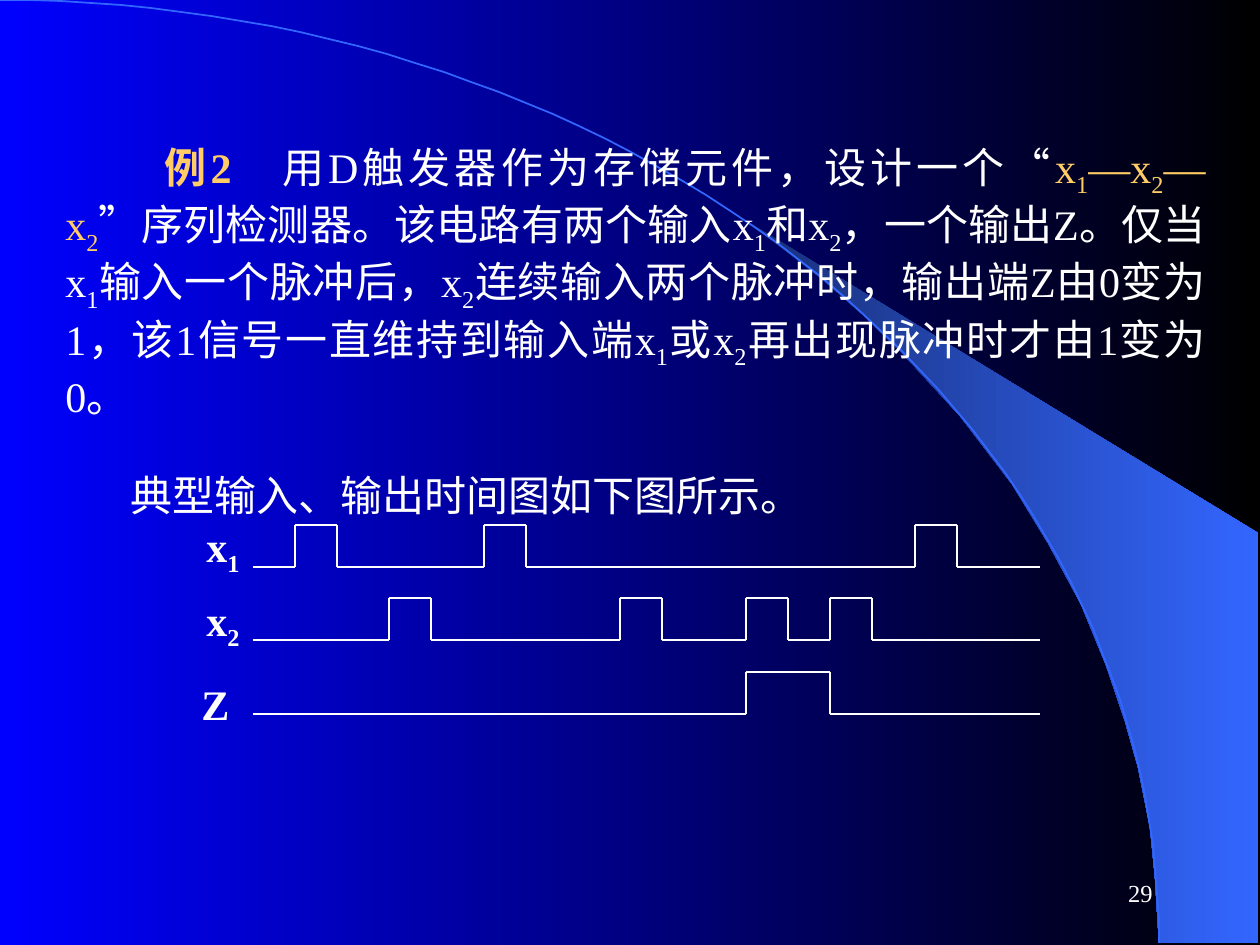
"""Build the sequence detector example slide with its timing diagram."""
import math

import lxml.etree
import pptx
import pptx.dml.color
import pptx.enum.shapes
import pptx.enum.text
import pptx.oxml.ns
import pptx.util

PX = 914400 // 126
WIDTH, HEIGHT = 1260, 945
FONT = "Times New Roman"
WHITE, GOLD, BLUE, NAVY, BLACK = "FFFFFF", "FFCC66", "3366FF", "182F76", "000000"
ALIGN = pptx.enum.text.PP_ALIGN
ANCHOR = pptx.enum.text.MSO_ANCHOR

# An underscore lowers the character after it.
PROBLEM = [
    ("例2　", GOLD, True),
    ("用D触发器作为存储元件，设计一个“", WHITE, False),
    ("x_1—x_2—x_2", GOLD, False),
    ("”序列检测器。该电路有两个输入x_1和x_2，一个输出Z。"
     "仅当x_1输入一个脉冲后，x_2连续输入两个脉冲时，输出端Z由0变为1，"
     "该1信号一直维持到输入端x_1或x_2再出现脉冲时才由1变为0。", WHITE, False),
]
CAPTION = [("典型输入、输出时间图如下图所示。", WHITE, False)]
PROBLEM_INDENT, CAPTION_INDENT, CAPTION_GAP = 99, 65, 27.6
PAGE_NUMBER = [("29", WHITE, False)]

SIGNALS = [
    {"label": "x_1", "box": (194, 514, 58, 70), "low": 567,
     "pulses": [(295, 337), (484, 526), (915, 957)]},
    {"label": "x_2", "box": (194, 588, 58, 70), "low": 640,
     "pulses": [(389, 431), (620, 662), (746, 788), (830, 872)]},
    {"label": "Z", "box": (189, 672, 53, 63), "low": 714,
     "pulses": [(746, 830)]},
]
SIGNAL_START, SIGNAL_END, PULSE_HEIGHT = 253, 1040, 42

BEAM = [(1159, 943), (1258, 943), (1258, 533), (742, 218), (786, 251), (823, 280),
        (863, 315), (902, 353), (960, 416), (1012, 484), (1048, 543), (1081, 604),
        (1106, 665), (1125, 721), (1138, 767), (1150, 827), (1155, 877)]
ARC_WIDTH, ARC_HEIGHT, ARC_STEPS = 1159, 943, 60


def color(value):
    return pptx.dml.color.RGBColor.from_string(value)


def fill_gradient(fill, start, end):
    fill.gradient()
    fill.gradient_angle = 0
    for stop, value in zip(fill.gradient_stops, (start, end)):
        stop.color.rgb = color(value)


def add_outline(slide, points, close):
    builder = slide.shapes.build_freeform(*points[0], scale=PX)
    builder.add_line_segments(points[1:], close=close)
    outline = builder.convert_to_shape()
    outline.shadow.inherit = False
    return outline


def add_box(slide, box, wrap=True, anchor=ANCHOR.TOP):
    frame = slide.shapes.add_textbox(*(v * PX for v in box)).text_frame
    frame.word_wrap = wrap
    frame.vertical_anchor = anchor
    return frame


def write(paragraph, phrases, align=ALIGN.LEFT, size=24, indent=0):
    paragraph.alignment = align
    if indent:
        paragraph._p.get_or_add_pPr().set("indent", str(indent * PX))
    paragraph.font.name = FONT
    paragraph.font.size = pptx.util.Pt(size)
    for phrase, value, bold in phrases:
        first, *rest = phrase.split("_")
        pieces = [(first, False)]
        for part in rest:
            pieces += [(part[0], True), (part[1:], False)]
        for text, lowered in pieces:
            if not text:
                continue
            run = paragraph.add_run()
            run.text = text
            run.font.name = FONT
            run.font.size = pptx.util.Pt(size)
            run.font.bold = bold
            run.font.color.rgb = color(value)
            if lowered:
                run._r.get_or_add_rPr().set("baseline", "-25000")


def add_signal(slide, signal):
    low = signal["low"]
    high = low - PULSE_HEIGHT
    points = [(SIGNAL_START, low)]
    for rise, fall in signal["pulses"]:
        points += [(rise, low), (rise, high), (fall, high), (fall, low)]
    points.append((SIGNAL_END, low))
    for start, end in zip(points, points[1:]):
        edge = slide.shapes.add_connector(
            pptx.enum.shapes.MSO_CONNECTOR.STRAIGHT, *(v * PX for v in start + end))
        edge.line.color.rgb = color(WHITE)
        edge.line.width = pptx.util.Pt(0.75)
        lxml.etree.SubElement(edge._element.spPr, pptx.oxml.ns.qn("a:effectLst"))
    label = add_box(slide, signal["box"], wrap=False)
    write(label.paragraphs[0], [(signal["label"], WHITE, True)])


def main():
    deck = pptx.Presentation()
    deck.slide_width, deck.slide_height = WIDTH * PX, HEIGHT * PX
    slide = deck.slides.add_slide(deck.slide_layouts[6])
    fill_gradient(slide.background.fill, "0000FF", BLACK)

    beam = add_outline(slide, BEAM, True)
    fill_gradient(beam.fill, NAVY, BLUE)
    beam.line.fill.background()

    angles = [math.pi / 2 * step / ARC_STEPS for step in range(ARC_STEPS + 1)]
    arc = add_outline(slide, [(ARC_WIDTH * math.sin(a), ARC_HEIGHT * (1 - math.cos(a)))
                              for a in angles], False)
    arc.fill.background()
    arc.line.color.rgb = color(BLUE)
    arc.line.width = pptx.util.Pt(1)

    number = add_box(slide, (903, 861, 262, 63), anchor=ANCHOR.MIDDLE)
    write(number.paragraphs[0], PAGE_NUMBER, ALIGN.RIGHT, 14)

    body = add_box(slide, (53, 135, 1165, 393))
    write(body.paragraphs[0], PROBLEM, ALIGN.JUSTIFY, indent=PROBLEM_INDENT)
    caption = body.add_paragraph()
    caption.space_before = pptx.util.Pt(CAPTION_GAP)
    write(caption, CAPTION, ALIGN.JUSTIFY, indent=CAPTION_INDENT)

    for signal in SIGNALS:
        add_signal(slide, signal)
    deck.save("out.pptx")


if __name__ == "__main__":
    main()
